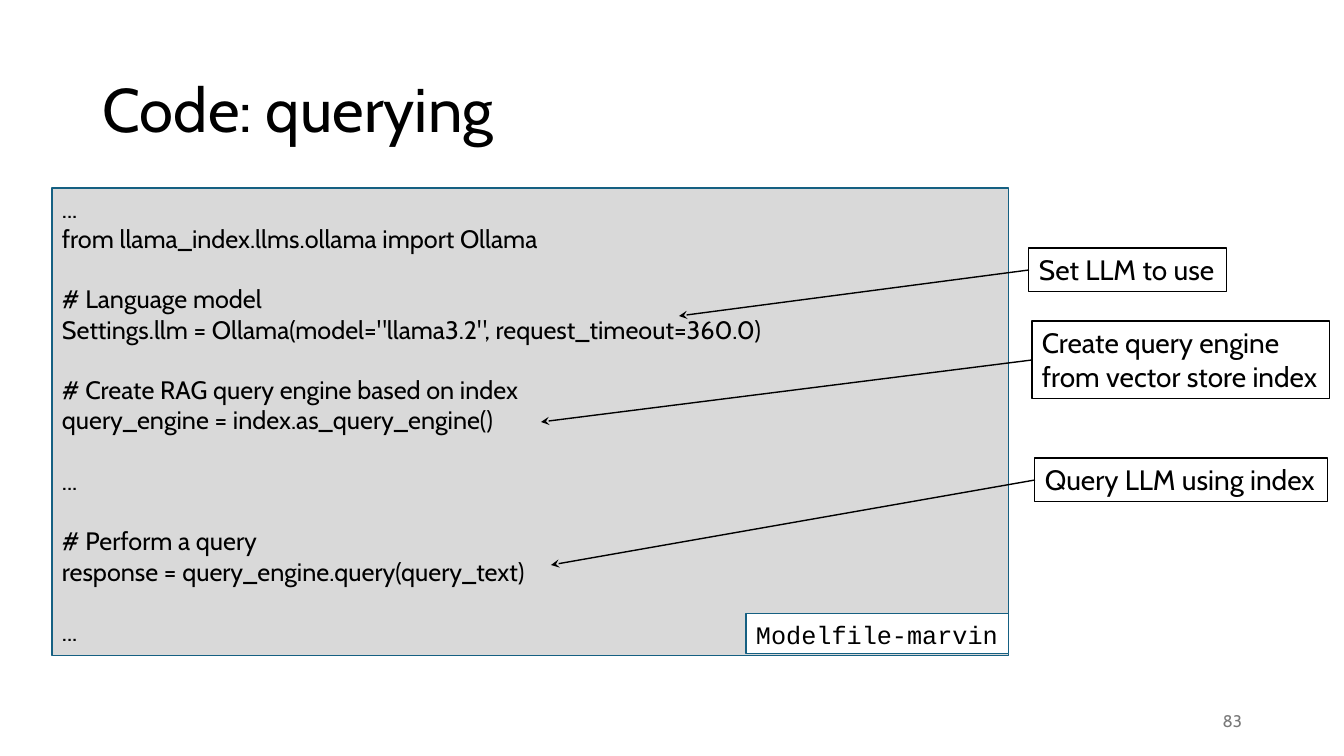
from lxml import etree
from pptx import Presentation
from pptx import util as u
from pptx.dml.color import RGBColor
from pptx.enum import shapes, text
from pptx.oxml import ns

EMU_PER_PX = 914400 / 100.8
BLACK = RGBColor(0x00, 0x00, 0x00)
WHITE = RGBColor(0xFF, 0xFF, 0xFF)
GRAY = RGBColor(0x79, 0x79, 0x79)
CODE_FILL = RGBColor(0xD9, 0xD9, 0xD9)
BLUE = RGBColor(0x15, 0x60, 0x82)
BODY_FONT = "Cabin"
CODE_FONT = "Courier New"
CODE_GAP = 21.6

CODE_BLOCKS = [
    ["...", "from llama_index.llms.ollama import Ollama"],
    ["# Language model",
     'Settings.llm = Ollama(model="llama3.2", request_timeout=360.0)'],
    ["# Create RAG query engine based on index",
     "query_engine = index.as_query_engine()"],
    ["..."],
    ["# Perform a query", "response = query_engine.query(query_text)"],
    ["..."],
]

CALLOUTS = [
    ("Set LLM to use", (1029, 248, 198, 44), (679, 316)),
    ("Create query engine\vfrom vector store index", (1032, 321, 298, 78), (541, 422)),
    ("Query LLM using index", (1035, 458, 293, 44), (551, 565)),
]


def px(*lengths):
    return [u.Emu(round(length * EMU_PER_PX)) for length in lengths]


def format_text(frame, size, font=BODY_FONT, color=BLACK, align=text.PP_ALIGN.LEFT):
    for paragraph in frame.paragraphs:
        paragraph.alignment = align
        for run in paragraph.runs:
            run.font.size = u.Pt(size)
            run.font.name = font
            run.font.color.rgb = color


def add_label(slide, words, box, size, color=BLACK, align=text.PP_ALIGN.LEFT):
    shape = slide.shapes.add_textbox(*px(*box))
    frame = shape.text_frame
    frame.word_wrap = True
    frame.vertical_anchor = text.MSO_ANCHOR.MIDDLE
    frame.text = words
    format_text(frame, size, color=color, align=align)
    return shape


def add_box(slide, words, box, size, line, fill=None, font=BODY_FONT, wrap=False):
    shape = slide.shapes.add_shape(shapes.MSO_SHAPE.RECTANGLE, *px(*box))
    shape.shadow.inherit = False
    if fill is None:
        shape.fill.background()
    else:
        shape.fill.solid()
        shape.fill.fore_color.rgb = fill
    shape.line.color.rgb = line
    shape.line.width = u.Pt(0.75)
    frame = shape.text_frame
    frame.word_wrap = wrap
    frame.vertical_anchor = text.MSO_ANCHOR.TOP
    frame.text = words
    format_text(frame, size, font)
    return shape


def add_code(slide, blocks, box):
    lines = "\n".join(line for block in blocks for line in block)
    shape = add_box(slide, lines, box, 18, BLUE, CODE_FILL, wrap=True)
    paragraphs = shape.text_frame.paragraphs
    start = 0
    for block in blocks[:-1]:
        start += len(block)
        paragraphs[start].space_before = u.Pt(CODE_GAP)


def add_callout(slide, words, box, tip):
    shape = add_box(slide, words, box, 20, BLACK)
    left, top, width, height = box
    arrow = slide.shapes.add_connector(
        shapes.MSO_CONNECTOR.STRAIGHT, *px(left, top + height / 2, *tip))
    arrow.begin_connect(shape, 1)
    arrow.line.color.rgb = BLACK
    arrow.line.width = u.Pt(1)
    etree.SubElement(arrow.line._get_or_add_ln(), ns.qn("a:tailEnd"), type="stealth")
    etree.SubElement(arrow._element.spPr, ns.qn("a:effectLst"))


def main():
    presentation = Presentation()
    presentation.slide_width, presentation.slide_height = px(1344, 756)
    slide = presentation.slides.add_slide(presentation.slide_layouts[6])

    title = add_label(slide, "Code: querying", (93, 40, 1159, 146), 44)
    title.text_frame.paragraphs[0].line_spacing = 0.9
    add_label(slide, "83", (950, 701, 302, 40), 12, GRAY, text.PP_ALIGN.RIGHT)

    add_code(slide, CODE_BLOCKS, (52, 188, 957, 468))
    add_box(slide, "Modelfile-marvin", (746, 614, 263, 40), 18, BLUE, WHITE, CODE_FONT)
    for words, box, tip in CALLOUTS:
        add_callout(slide, words, box, tip)

    presentation.save("out.pptx")


if __name__ == "__main__":
    main()
